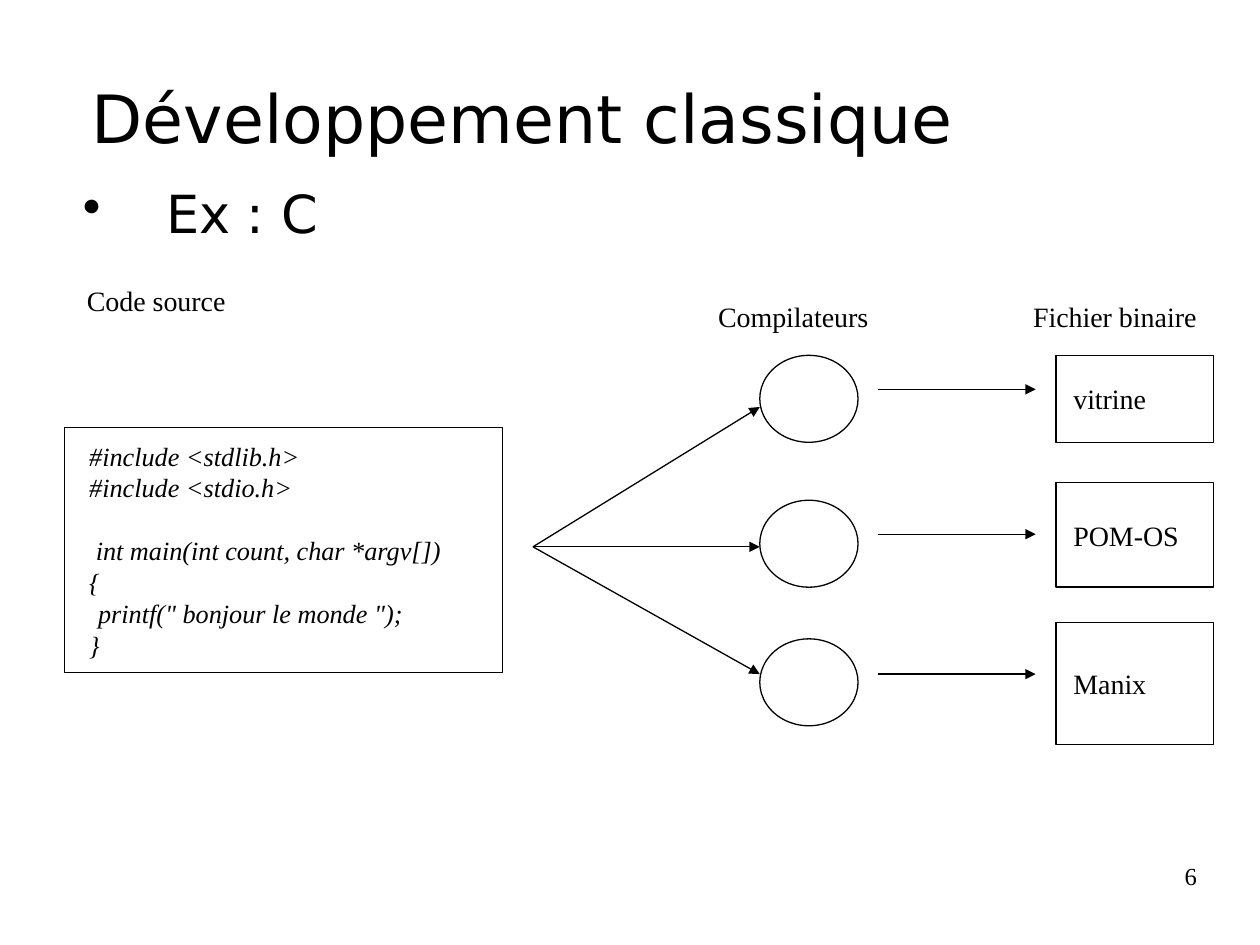
from lxml.etree import SubElement
from pptx import Presentation
from pptx.dml.color import RGBColor
from pptx.enum.shapes import MSO_CONNECTOR, MSO_SHAPE
from pptx.enum.text import MSO_ANCHOR as ANCHOR, PP_ALIGN as ALIGN
from pptx.oxml.ns import qn
from pptx.util import Inches, Pt

BLACK = RGBColor(0, 0, 0)
WHITE = RGBColor(255, 255, 255)
SANS, SERIF = "DejaVu Sans", "Times New Roman"

prs = Presentation()
prs.slide_width, prs.slide_height = Inches(10), Inches(7.5)
s = prs.slides.add_slide(prs.slide_layouts[6])

# A grid of 100 columns by 75 rows
COL = prs.slide_width / 100
ROW = prs.slide_height / 75
LINE = Pt(0.75)


def add_text(text, x, y, w, h, shape=None, outline=False, size=16, font=SERIF,
             italic=False, anchor=ANCHOR.MIDDLE, align=ALIGN.LEFT, indent=0.4,
             margins=True, spacing=None):
    """Place text in a text box, or in a white preset shape if one is given."""
    at = [round(v) for v in (x * COL, y * ROW, w * COL, h * ROW)]
    if shape is None:
        sp = s.shapes.add_textbox(*at)
    else:
        sp = s.shapes.add_shape(shape, *at)
        sp.shadow.inherit = False
        sp.fill.solid()
        sp.fill.fore_color.rgb = WHITE
        if outline:
            sp.line.color.rgb = BLACK
            sp.line.width = LINE
        else:
            sp.line.fill.background()
    tf = sp.text_frame
    tf.word_wrap = True
    tf.vertical_anchor = anchor
    if not margins:
        tf.margin_left = tf.margin_right = tf.margin_top = tf.margin_bottom = 0
    for i, line in enumerate(text.split("\n") if text else []):
        p = tf.paragraphs[0] if i == 0 else tf.add_paragraph()
        p.alignment = align
        p.line_spacing = spacing
        p._p.get_or_add_pPr().set("marL", str(round(indent * COL)))
        r = p.add_run()
        r.text = line
        r.font.size, r.font.name, r.font.italic = Pt(size), font, italic
        r.font.color.rgb = BLACK
    return tf


def add_arrow(x1, y1, x2, y2):
    c = s.shapes.add_connector(MSO_CONNECTOR.STRAIGHT, round(x1 * COL), round(y1 * ROW),
                               round(x2 * COL), round(y2 * ROW))
    c.line.color.rgb = BLACK
    c.line.width = LINE
    SubElement(c.line._get_or_add_ln(), qn("a:tailEnd"), type="triangle")
    SubElement(c._element.spPr, qn("a:effectLst"))


# Heading and bullet
add_text("Développement classique", 6.3, 5.6, 85, 7.4, size=38, font=SANS, indent=0)
tf = add_text("Ex : C", 5.6, 13.9, 85, 11.7, size=30, font=SANS, anchor=ANCHOR.TOP, indent=6.6)
p = tf.paragraphs[0]
p.space_before = Pt(8)
pPr = p._p.get_or_add_pPr()
pPr.set("indent", str(round(-6.6 * COL)))
SubElement(pPr, qn("a:buChar"), char="•")

# Source code
CODE = """#include <stdlib.h>
#include <stdio.h>
 int main(int count, char *argv[])
{
printf("\u00a0bonjour le monde\u00a0");
}""".replace("\u00a0", " ")
tf = add_text(CODE, 5.1, 33.9, 34.8, 19.5, shape=MSO_SHAPE.RECTANGLE, outline=True,
              size=15, italic=True, indent=1, spacing=Pt(18))
tf.paragraphs[2].space_before = Pt(18)
tf.paragraphs[4]._p.get_or_add_pPr().set("marL", str(round(1.7 * COL)))

# Column labels
for label, x, y, w in [("Code source", 5.5, 21.7, 23.5),
                       ("Compilateurs", 55.6, 23, 17.2),
                       ("Fichier binaire", 80.6, 23, 18.8)]:
    add_text(label, x, y, w, 4.2, shape=MSO_SHAPE.RECTANGLE)

# One compiler and one binary file per system
SYSTEMS = [  # name, compiler top, arrow row, box top, box height, compiler entry row
    ("vitrine", 28.2, 30.9, 28.2, 6.9, 32.3),
    ("POM-OS", 39.7, 42.4, 38.3, 8.3, 43.4),
    ("Manix", 50.7, 53.5, 49.4, 9.7, 53.5),
]
for name, compiler_y, arrow_y, box_y, box_h, entry_y in SYSTEMS:
    add_text("", 60.3, compiler_y, 7.8, 6.9, shape=MSO_SHAPE.OVAL, outline=True)
    add_text(name, 83.8, box_y, 12.5, box_h, shape=MSO_SHAPE.RECTANGLE, outline=True)
    add_arrow(42.3, 43.4, 60.3, entry_y)
    add_arrow(69.7, arrow_y, 82.2, arrow_y)

# Page number
add_text("6", 71.7, 68.3, 23.3, 5.2, size=14, anchor=ANCHOR.TOP, align=ALIGN.RIGHT,
         indent=0, margins=False)

prs.save("out.pptx")
